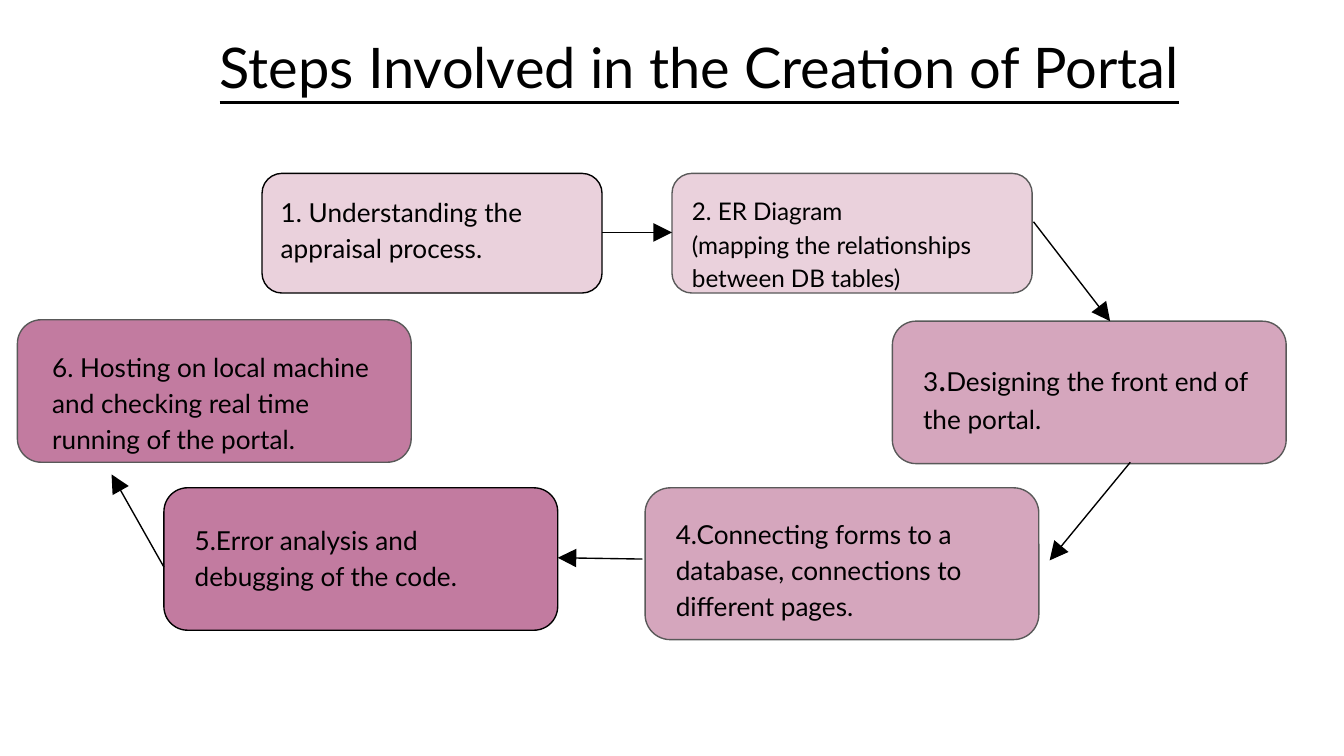
from pptx import Presentation
from pptx.dml.color import RGBColor
from pptx.enum.shapes import MSO_CONNECTOR, MSO_SHAPE
from pptx.enum.text import MSO_ANCHOR, PP_ALIGN
from pptx.oxml.ns import qn
from pptx.util import Inches, Pt
from lxml import etree

ROUNDED = MSO_SHAPE.ROUNDED_RECTANGLE
STRAIGHT = MSO_CONNECTOR.STRAIGHT
TOP = MSO_ANCHOR.TOP
CENTER = PP_ALIGN.CENTER

FONT = "Lato"
BLACK, GREY = "000000", "595959"
PALE, PINK, MAUVE = "EAD1DC", "D5A6BD", "C27BA0"

STEP_BOXES = [
    (0.13, 2.38, 2.93, 1.06, MAUVE, GREY),
    (1.22, 3.63, 2.93, 1.06, MAUVE, BLACK),
    (4.8, 3.63, 2.93, 1.13, PINK, GREY),
    (5, 1.29, 2.68, 0.89, PALE, GREY),
    (1.95, 1.29, 2.53, 0.89, PALE, BLACK),
    (6.64, 2.39, 2.93, 1.06, PINK, GREY),
]
ARROWS = [
    (8.41, 3.44, 7.81, 4.17),
    (1.22, 4.22, 0.83, 3.53),
    (4.48, 1.73, 5, 1.73),
    (4.78, 4.16, 4.15, 4.15),
    (7.69, 1.65, 8.26, 2.39),
]
STEP_LABELS = [
    (1.99, 1.33, [("1. Understanding the appraisal process.", 14)]),
    (1.35, 3.77, [("5.Error analysis and debugging of the code.", 14)]),
    (4.93, 3.72, [("4.Connecting forms to a database, connections to different pages.", 14)]),
    (6.77, 2.52, [("3", 14), (".", 18), ("Designing the front end of the portal.", 14)]),
    (5.05, 1.33, [("2. ER Diagram\n(mapping the relationships between DB tables)", 13)]),
    (0.29, 2.48, [("6. Hosting on local machine and checking real time running of the portal.", 14)]),
]


def color(hex_text):
    """Turn a hex string into a colour."""
    return RGBColor.from_string(hex_text)


def set_line(line, hex_text):
    """Give a line its colour and the common width."""
    line.color.rgb = color(hex_text)
    line.width = Pt(0.75)


def add_step_box(page, left, top, width, height, fill, outline):
    """Draw one rounded step box."""
    box = page.shapes.add_shape(
        ROUNDED, Inches(left), Inches(top), Inches(width), Inches(height))
    box.shadow.inherit = False
    box.fill.solid()
    box.fill.fore_color.rgb = color(fill)
    set_line(box.line, outline)


def add_arrow(page, *ends):
    """Draw a straight arrow that points at its second end."""
    arrow = page.shapes.add_connector(STRAIGHT, *map(Inches, ends))
    set_line(arrow.line, BLACK)
    outline = arrow._element.spPr.find(qn("a:ln"))
    etree.SubElement(outline, qn("a:tailEnd"), type="triangle", w="lg", len="lg")
    etree.SubElement(arrow._element.spPr, qn("a:effectLst"))


def add_text_box(page, left, top, width, height):
    """Add a wrapping text box and return its first paragraph."""
    box = page.shapes.add_textbox(
        Inches(left), Inches(top), Inches(width), Inches(height))
    frame = box.text_frame
    frame.word_wrap = True
    frame.vertical_anchor = TOP
    frame.margin_left = frame.margin_right = Inches(0.1)
    frame.margin_top = frame.margin_bottom = Inches(0.1)
    return frame.paragraphs[0]


def add_span(para, text, size, underline=None):
    """Add text to a paragraph, with a line break at each newline."""
    for index, line in enumerate(text.split("\n")):
        if index:
            para.add_line_break()
        span = para.add_run()
        span.text = line
        span.font.name = FONT
        span.font.size = Pt(size)
        span.font.color.rgb = color(BLACK)
        span.font.underline = underline


def add_step_label(page, left, top, spans):
    """Write the label of one step."""
    para = add_text_box(page, left, top, 2.68, 1.06)
    para.line_spacing = 1.15
    para.space_after = Pt(16)
    for text, size in spans:
        add_span(para, text, size)


def add_title(page, text):
    """Write the underlined slide title."""
    para = add_text_box(page, 0.41, 0.14, 9.59, 0.84)
    para.alignment = CENTER
    add_span(para, text, 30, underline=True)


def main():
    """Build the slide and save the deck."""
    deck = Presentation()
    deck.slide_width = Inches(10)
    deck.slide_height = deck.slide_width * 9 // 16
    page = deck.slides.add_slide(deck.slide_layouts[6])
    for box in STEP_BOXES:
        add_step_box(page, *box)
    for ends in ARROWS:
        add_arrow(page, *ends)
    for label in STEP_LABELS:
        add_step_label(page, *label)
    add_title(page, "Steps Involved in the Creation of Portal")
    deck.save("out.pptx")


if __name__ == "__main__":
    main()
